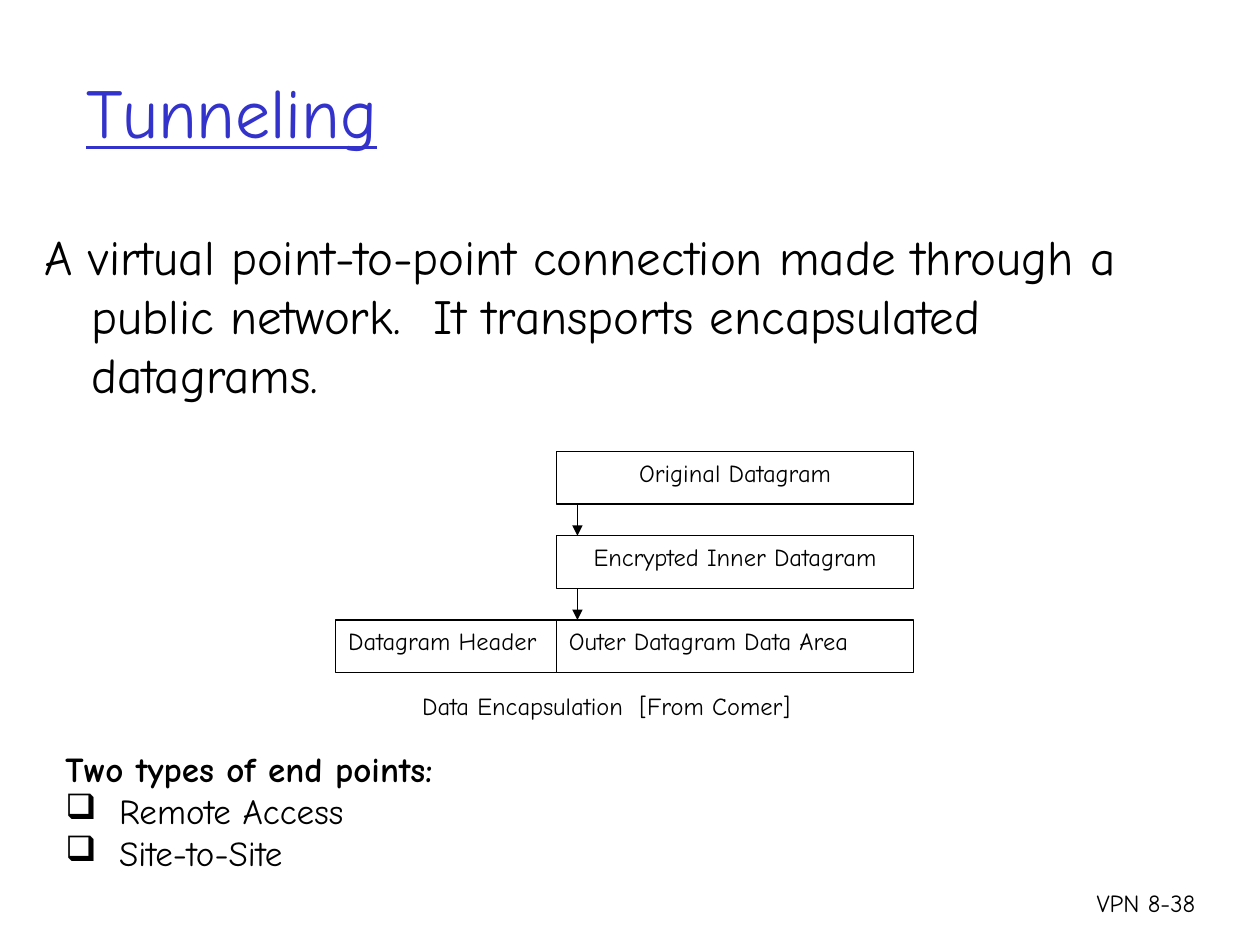
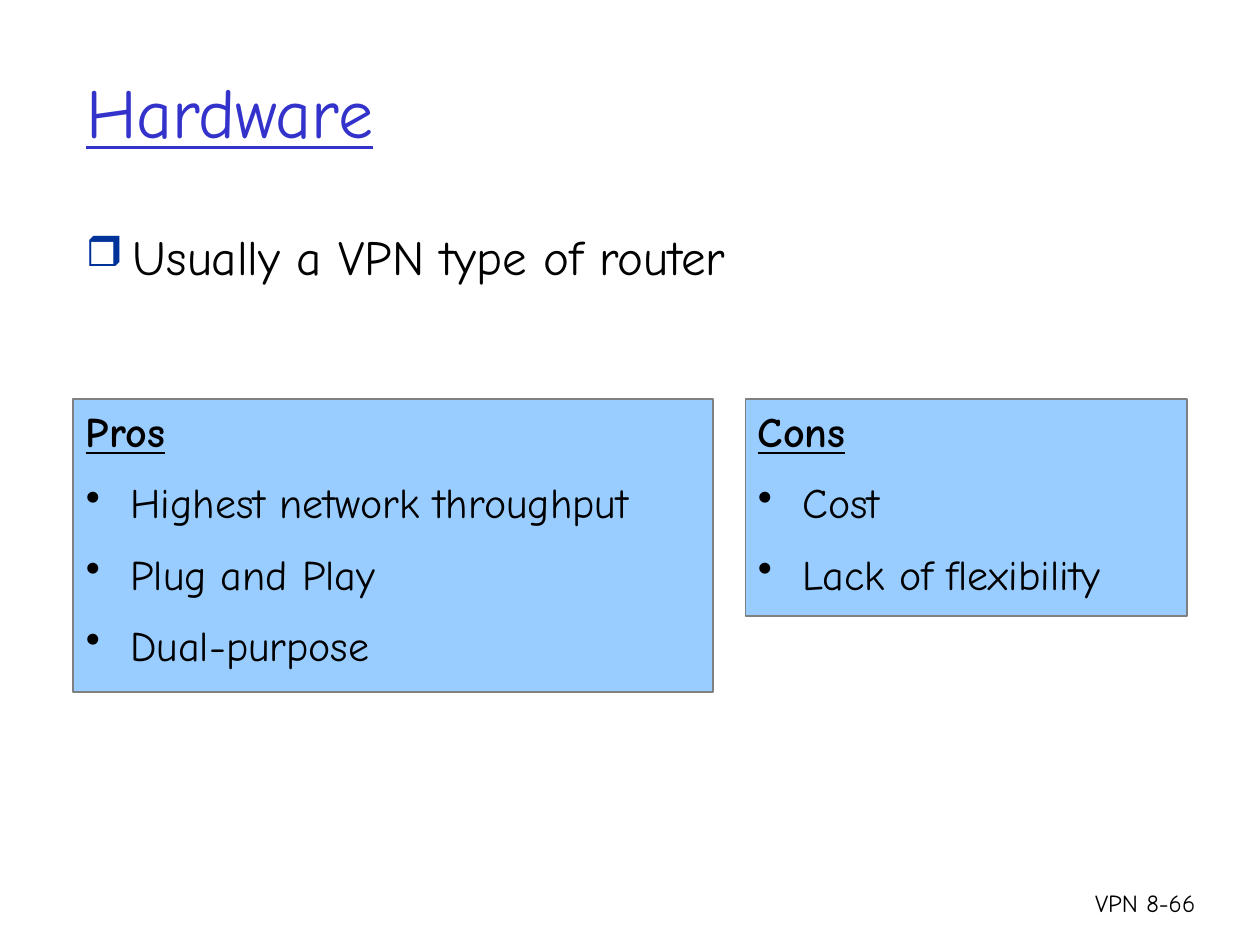
import pptx
import pptx.dml.color
import pptx.enum.shapes
import pptx.enum.text
import pptx.oxml.ns
import pptx.util
from lxml import etree

Cm = pptx.util.Cm
Pt = pptx.util.Pt
qn = pptx.oxml.ns.qn
Align = pptx.enum.text.PP_ALIGN
Anchor = pptx.enum.text.MSO_ANCHOR

FONT = "Comic Neue"
HUES = {
    "title": "3333CC", "text": "000000", "mark": "003399",
    "paper": "FFFFFF", "panel": "99CCFF", "edge": "808080",
}


def hue(name):
    return pptx.dml.color.RGBColor.from_string(HUES[name])


class Deck:
    def __init__(self):
        self.prs = pptx.Presentation()
        self.prs.slide_width, self.prs.slide_height = Cm(25.4), Cm(19.05)
        self.slide = None

    def page(self, title, number):
        """Start a slide with its title and page number."""
        self.slide = self.prs.slides.add_slide(self.prs.slide_layouts[5])
        head = self.slide.shapes.title
        head.left, head.top = Cm(1.48), Cm(0.64)
        head.width, head.height = Cm(21.59), Cm(3.18)
        head.text_frame.vertical_anchor = Anchor.MIDDLE
        para = self.letter(head.text_frame, [title], 40, color="title")[0]
        para.font.underline = True
        self.text(21.17, 17.78, 3.18, 1.27, [f"VPN 8-{number}"], 14, Align.RIGHT)

    def letter(self, frame, lines, size, align=Align.LEFT, color="text"):
        """Fill a frame with one paragraph per line."""
        frame.word_wrap = True
        frame.text = "\n".join(lines)
        for para in frame.paragraphs:
            para.alignment = align
            para.font.name, para.font.size = FONT, Pt(size)
            para.font.bold = False
            para.font.color.rgb = hue(color)
        return frame.paragraphs

    def text(self, left, top, width, height, lines, size, align=Align.LEFT):
        box = self.slide.shapes.add_textbox(Cm(left), Cm(top), Cm(width), Cm(height))
        return self.letter(box.text_frame, lines, size, align)

    def box(self, left, top, width, height, lines, size, align=Align.LEFT,
            fill="paper", edge="text", line=0.75):
        """Draw a filled rectangle with text at its top."""
        rect = self.slide.shapes.add_shape(
            pptx.enum.shapes.MSO_SHAPE.RECTANGLE,
            Cm(left), Cm(top), Cm(width), Cm(height))
        rect.shadow.inherit = False
        rect.fill.solid()
        rect.fill.fore_color.rgb = hue(fill)
        rect.line.color.rgb = hue(edge)
        rect.line.width = Pt(line)
        rect.text_frame.vertical_anchor = Anchor.TOP
        return self.letter(rect.text_frame, lines, size, align)

    def arrow(self, x, top, end):
        line = self.slide.shapes.add_connector(
            pptx.enum.shapes.MSO_CONNECTOR.STRAIGHT, Cm(x), Cm(top), Cm(x), Cm(end))
        line.line.color.rgb = hue("text")
        line.line.width = Pt(0.75)
        props = line.element.spPr
        etree.SubElement(props.find(qn("a:ln")), qn("a:tailEnd"), type="triangle")
        etree.SubElement(props, qn("a:effectLst"))

    def hang(self, para, depth, mark=None, color=None, scale=100):
        """Give a paragraph a hanging indent and maybe a bullet."""
        props = para._p.get_or_add_pPr()
        props.set("marL", str(Cm(depth)))
        props.set("indent", str(-Cm(depth)))
        if not mark:
            return
        parts = []
        if color:
            tint = etree.Element(qn("a:buClr"))
            etree.SubElement(tint, qn("a:srgbClr"), val=HUES[color])
            parts.append(tint)
        parts.append(etree.Element(qn("a:buSzPct"), val=str(scale * 1000)))
        parts.append(etree.Element(qn("a:buChar"), char=mark))
        # Bullet parts must stand before the font defaults
        for spot, part in enumerate(parts, len(props.findall(qn("a:spcBef")))):
            props.insert(spot, part)

    def panel(self, left, width, height, head, items):
        """Draw a blue panel with a heading and bullets."""
        paras = self.box(left, 8.05, width, height, [head, *items], 24,
                         fill="panel", edge="edge", line=1)
        paras[0].font.bold = paras[0].font.underline = True
        for para in paras[1:]:
            para.space_before = Pt(12)
            self.hang(para, 0.9, "•")


def tunnel(deck):
    deck.page("Tunneling", 38)
    intro = deck.text(0.64, 4.45, 24.13, 5, [
        "A virtual point-to-point connection made through a public network.  "
        "It transports encapsulated datagrams."], 28)
    deck.hang(intro[0], 0.95)

    # Encapsulation steps, top to bottom
    left, width, high = 11.22, 7.2, 1.06
    top, step = 9.1, 1.7
    names = ["Original Datagram", "Encrypted Inner Datagram", "Outer Datagram Data Area"]
    for row, name in enumerate(names):
        y = top + row * step
        last = row == len(names) - 1
        deck.box(left, y, width, high, [name], 14, Align.LEFT if last else Align.CENTER)
        if not last:
            deck.arrow(left + 0.42, y + high, y + step)
    deck.box(6.77, y, left - 6.77, high, ["Datagram Header"], 14)
    deck.text(8.26, 13.8, 9, 0.84, ["Data Encapsulation  [From Comer]"], 14)

    # End points
    ends = deck.text(1.07, 14.95, 20.35, 3,
                     ["Two types of end points:", "Remote Access", "Site-to-Site"], 20)
    ends[0].font.bold = True
    for para in ends[1:]:
        deck.hang(para, 1.08, "❑")


def hardware(deck):
    deck.page("Hardware", 66)
    lead = deck.text(1.48, 4.45, 21.59, 2, ["Usually a VPN type of router"], 28)
    deck.hang(lead[0], 0.95, "❒", "mark", 85)

    # Pros and cons
    deck.panel(1.48, 12.9, 5.9, "Pros",
               ["Highest network throughput", "Plug and Play", "Dual-purpose"])
    deck.panel(15.03, 8.9, 4.37, "Cons", ["Cost", "Lack of flexibility"])


def main():
    deck = Deck()
    tunnel(deck)
    hardware(deck)
    deck.prs.save("out.pptx")


if __name__ == "__main__":
    main()
